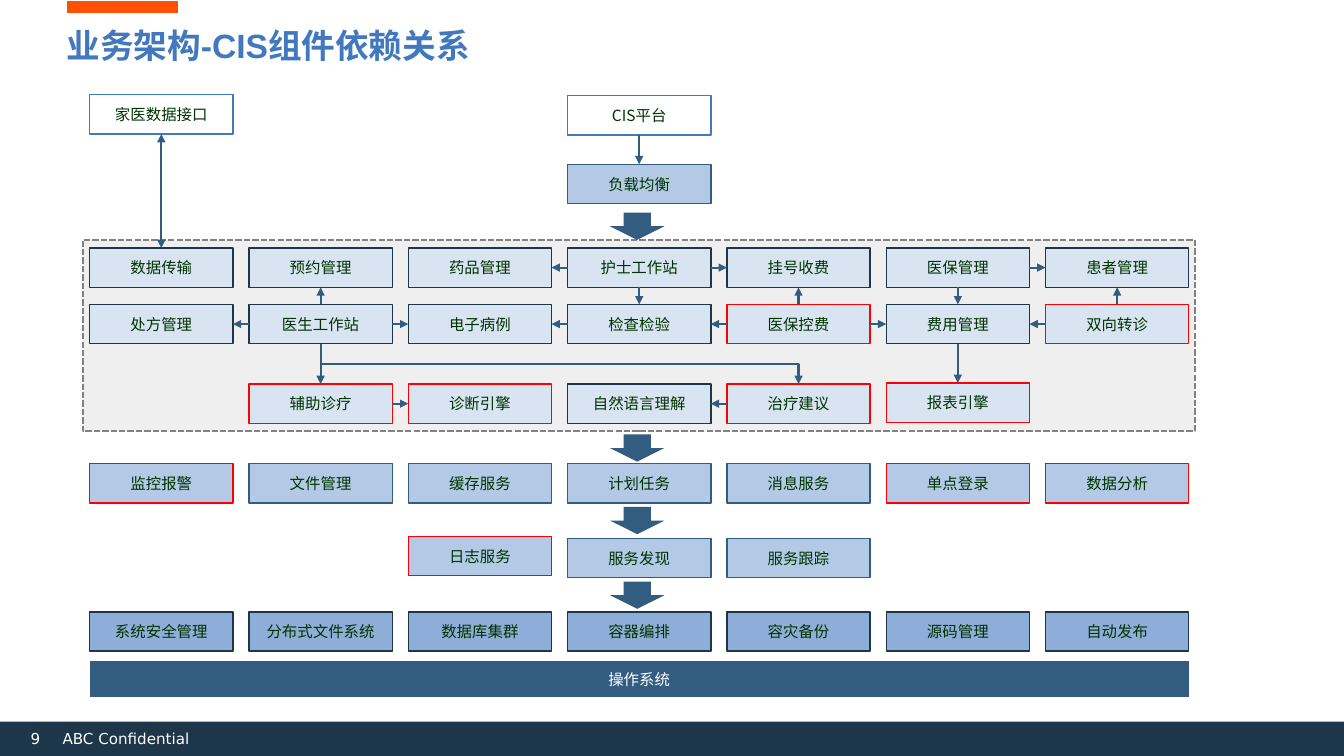
from dataclasses import dataclass

from lxml.etree import SubElement
from pptx import Presentation
from pptx.dml.color import RGBColor
from pptx.enum.dml import MSO_LINE
from pptx.enum.shapes import MSO_CONNECTOR, MSO_SHAPE
from pptx.enum.text import MSO_ANCHOR, PP_ALIGN
from pptx.oxml.ns import qn
from pptx.util import Inches, Pt


@dataclass(frozen=True)
class Theme:
    white: str = "FFFFFF"
    navy: str = "1D3649"
    steel: str = "325C80"
    blue: str = "4178BE"
    light: str = "D9E4F2"
    middle: str = "B3C9E5"
    strong: str = "8DAED8"
    red: str = "FF0000"
    orange: str = "FF5004"
    panel: str = "EFEFEF"
    dash: str = "828282"
    label: str = "003300"
    title_size: float = 24
    label_size: float = 11
    footer_size: float = 10.8
    title_font: str = "Arial"
    label_font: str = "Noto Sans CJK SC"
    footer_font: str = "DejaVu Sans"


theme = Theme()
deck = Presentation()
deck.slide_width, deck.slide_height = Inches(13.33), Inches(7.5)
page = deck.slides.add_slide(deck.slide_layouts[6])


def write(shape, text, color, frame_format, para_format, font_format):
    frame = shape.text_frame
    para = frame.paragraphs[0]
    span = para.add_run()
    span.text = text
    span.font.color.rgb = RGBColor.from_string(color)
    for target, values in ((frame, frame_format), (para, para_format), (span.font, font_format)):
        for name, value in values.items():
            setattr(target, name, value)
    east_asian = SubElement(span.font._element, qn("a:ea"))
    east_asian.set("typeface", theme.label_font)
    return para


def add_block(kind, place, fill, outline=None, width=1, text="", color=theme.label):
    """Add a filled preset shape, outlined and labelled where asked."""
    box = page.shapes.add_shape(kind, *map(Inches, place))
    box.shadow.inherit = False
    box.fill.solid()
    box.fill.fore_color.rgb = RGBColor.from_string(fill)
    if outline:
        box.line.color.rgb = RGBColor.from_string(outline)
        box.line.width = Pt(width)
    else:
        box.line.fill.background()
    if kind == MSO_SHAPE.ROUNDED_RECTANGLE:
        box.adjustments[0] = 0
    if text:
        write(box, text, color,
              {"word_wrap": True, "vertical_anchor": MSO_ANCHOR.MIDDLE},
              {"alignment": PP_ALIGN.CENTER},
              {"size": Pt(theme.label_size), "name": theme.label_font})
    return box


# Footer, title and background panel
add_block(MSO_SHAPE.RECTANGLE, (0, 7.16, 13.33, 0.34), theme.navy)
no_margins = {f"margin_{side}": 0 for side in ("left", "top", "right", "bottom")}

footer = page.shapes.add_textbox(*map(Inches, (0.17, 7.18, 2.55, 0.24)))
footer_para = write(footer, "\t9\tABC Confidential", theme.white,
                    {**no_margins, "word_wrap": False, "vertical_anchor": MSO_ANCHOR.BOTTOM},
                    {"line_spacing": 0.9, "space_before": Pt(6)},
                    {"size": Pt(theme.footer_size), "name": theme.footer_font})
tab_list = SubElement(footer_para._p.get_or_add_pPr(), qn("a:tabLst"))
for position, alignment in ((0.23, "r"), (0.45, "l")):
    SubElement(tab_list, qn("a:tab"), pos=str(Inches(position)), algn=alignment)

title = page.shapes.add_textbox(*map(Inches, (0.66, 0.26, 12, 0.45)))
write(title, "业务架构-CIS组件依赖关系", theme.blue,
      {**no_margins, "word_wrap": True}, {"line_spacing": Pt(27.6)},
      {"size": Pt(theme.title_size), "name": theme.title_font, "bold": True})

panel = add_block(MSO_SHAPE.RECTANGLE, (0.82, 2.38, 11.03, 1.9), theme.panel, theme.dash, 1.5)
panel.line.dash_style = MSO_LINE.SQUARE_DOT

# Component boxes: top, first column, fill, outline, labels
rows = [
    (0.94, 0, theme.white, theme.blue, "家医数据接口"),
    (0.95, 3, theme.white, theme.blue, "CIS平台"),
    (1.63, 3, theme.middle, theme.steel, "负载均衡"),
    (2.46, 0, theme.light, theme.navy,
     "数据传输 预约管理 药品管理 护士工作站 挂号收费 医保管理 患者管理"),
    (3.02, 0, theme.light, theme.navy,
     "处方管理 医生工作站 电子病例 检查检验 医保控费 费用管理 双向转诊"),
    (3.81, 1, theme.light, theme.navy, "辅助诊疗 诊断引擎 自然语言理解 治疗建议"),
    (3.8, 5, theme.light, theme.navy, "报表引擎"),
    (4.6, 0, theme.middle, theme.steel,
     "监控报警 文件管理 缓存服务 计划任务 消息服务 单点登录 数据分析"),
    (5.32, 2, theme.middle, theme.steel, "日志服务"),
    (5.34, 3, theme.middle, theme.steel, "服务发现 服务跟踪"),
    (6.07, 0, theme.strong, theme.navy,
     "系统安全管理 分布式文件系统 数据库集群 容器编排 容灾备份 源码管理 自动发布"),
]
highlighted = set("医保控费 双向转诊 辅助诊疗 诊断引擎 治疗建议 报表引擎 "
                  "监控报警 单点登录 数据分析 日志服务".split())
boxes = {}
for top, first_column, fill, outline, labels in rows:
    for column, label in enumerate(labels.split(), first_column):
        boxes[label] = add_block(
            MSO_SHAPE.ROUNDED_RECTANGLE, (0.89 + 1.58 * column, top, 1.42, 0.39),
            fill, theme.red if label in highlighted else outline, text=label)

add_block(MSO_SHAPE.ROUNDED_RECTANGLE, (0.88, 6.55, 10.92, 0.38), theme.steel,
          theme.white, 1.5, "操作系统", theme.white)
for top in (2.11, 4.31, 5.03, 5.77):
    add_block(MSO_SHAPE.DOWN_ARROW, (6.05, top, 0.54, 0.27), theme.steel)

# Dependencies, grouped by direction: start side, end side, pairs
TOP, LEFT, BOTTOM, RIGHT = range(4)
dependencies = [
    (BOTTOM, TOP, "家医数据接口>数据传输 CIS平台>负载均衡 护士工作站>检查检验 "
                  "医保管理>费用管理 医生工作站>辅助诊疗 费用管理>报表引擎"),
    (TOP, BOTTOM, "医生工作站>预约管理 医保控费>挂号收费 双向转诊>患者管理"),
    (RIGHT, LEFT, "护士工作站>挂号收费 医保管理>患者管理 医生工作站>电子病例 "
                  "医保控费>费用管理 辅助诊疗>诊断引擎"),
    (LEFT, RIGHT, "护士工作站>药品管理 医生工作站>处方管理 检查检验>电子病例 "
                  "医保控费>检查检验 双向转诊>费用管理 治疗建议>自然语言理解"),
]
arrows = []
for start_side, end_side, pairs in dependencies:
    for pair in pairs.split():
        source, target = pair.split(">")
        arrow = page.shapes.add_connector(MSO_CONNECTOR.STRAIGHT, 0, 0, 0, 0)
        arrow.begin_connect(boxes[source], start_side)
        arrow.end_connect(boxes[target], end_side)
        arrows.append((arrow, theme.steel, 1.5, ["headEnd"] * (source == "家医数据接口") + ["tailEnd"]))

# A quarter turn makes the elbow leave 医生工作站 downwards and enter 治疗建议 from above
elbow = page.shapes.add_connector(MSO_CONNECTOR.ELBOW, *map(Inches, (5.75, 1.24, 5.35, 5.98)))
elbow._element.spPr.find(qn("a:xfrm")).set("rot", str(270 * 60000))
arrows.append((elbow, theme.steel, 1.5, ["tailEnd"]))

accent = page.shapes.add_connector(MSO_CONNECTOR.STRAIGHT, *map(Inches, (0.66, 0.07, 1.77, 0.07)))
arrows.append((accent, theme.orange, 8, []))

for connector, color, width, ends in arrows:
    connector.line.color.rgb = RGBColor.from_string(color)
    connector.line.width = Pt(width)
    for end in ends:
        SubElement(connector.line._get_or_add_ln(), qn(f"a:{end}"), type="triangle")
    SubElement(connector._element.spPr, qn("a:effectLst"))

deck.save("out.pptx")
